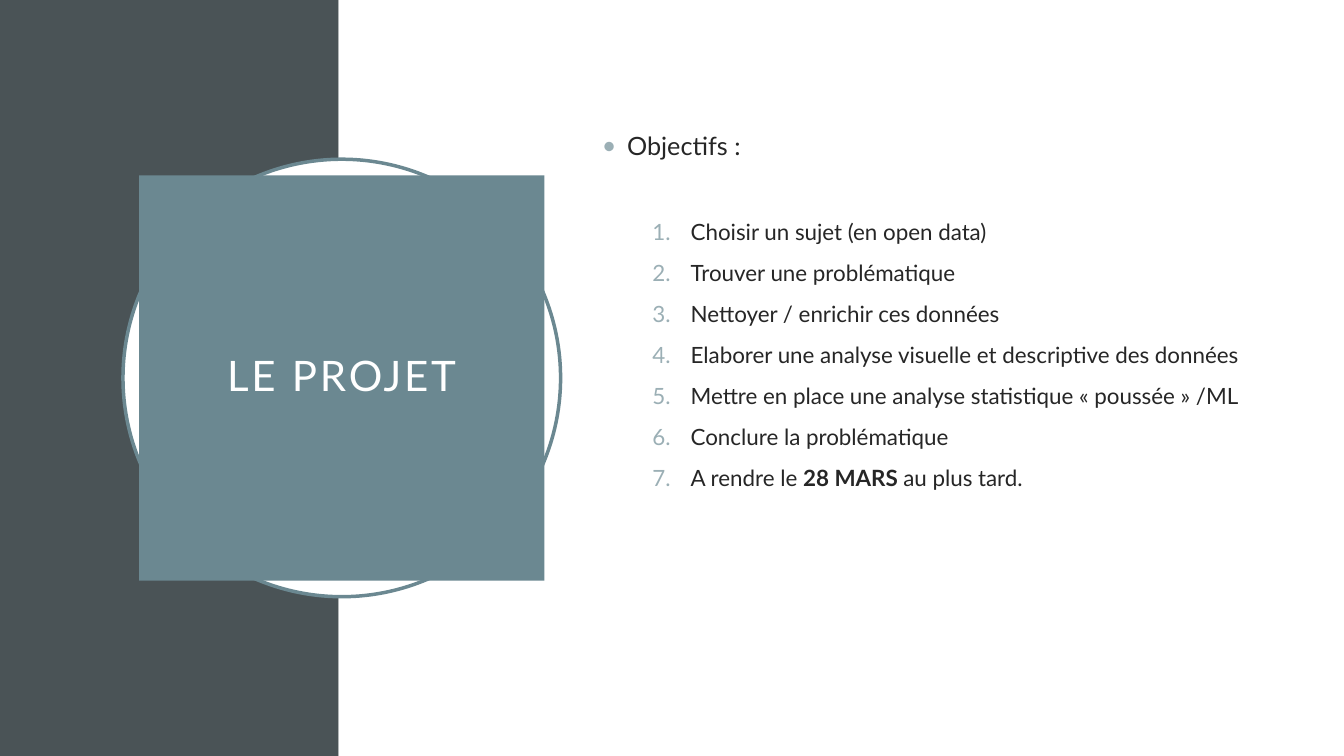
from lxml import etree
from pptx import Presentation
from pptx.dml.color import RGBColor
from pptx.enum.shapes import MSO_SHAPE
from pptx.enum.text import MSO_ANCHOR, MSO_AUTO_SIZE, PP_ALIGN
from pptx.oxml.ns import qn
from pptx.util import Inches, Pt

RECTANGLE, OVAL = MSO_SHAPE.RECTANGLE, MSO_SHAPE.OVAL
TOP, MIDDLE = MSO_ANCHOR.TOP, MSO_ANCHOR.MIDDLE
CENTER, LEFT = PP_ALIGN.CENTER, PP_ALIGN.LEFT
NO_AUTOFIT = MSO_AUTO_SIZE.NONE

SLATE = RGBColor(0x4A, 0x53, 0x56)
TEAL = RGBColor(0x6B, 0x88, 0x91)
PALE_TEAL = RGBColor(0x9B, 0xAF, 0xB5)
INK = RGBColor(0x26, 0x26, 0x26)
WHITE = RGBColor(0xFF, 0xFF, 0xFF)

FONT = "Lato"
SLIDE_WIDTH, SLIDE_HEIGHT = 13.33, 7.5
PANEL_WIDTH = 3.36

# Each step is a list of (text, bold) runs
STEPS = [
    [("Choisir un sujet (en open data)", False)],
    [("Trouver une problématique", False)],
    [("Nettoyer / enrichir ces données", False)],
    [("Elaborer une analyse visuelle et descriptive des données", False)],
    [("Mettre en place une analyse statistique « poussée » /ML", False)],
    [("Conclure la problématique", False)],
    [("A rendre le ", False), ("28 MARS ", True), ("au plus tard.", False)],
]


def place(shape, left, top, width, height):
    shape.left, shape.top = Inches(left), Inches(top)
    shape.width, shape.height = Inches(width), Inches(height)


def add_plain_shape(slide, kind, box, fill, line=None):
    shape = slide.shapes.add_shape(kind, *(Inches(length) for length in box))
    shape.shadow.inherit = False
    shape.fill.solid()
    shape.fill.fore_color.rgb = fill
    if line is None:
        shape.line.fill.background()
    else:
        shape.line.color.rgb = line
        shape.line.width = Pt(2.5)
    return shape


def add_run(paragraph, text, size, color, bold=False):
    run = paragraph.add_run()
    run.text = text
    run.font.name = FONT
    run.font.size = Pt(size)
    run.font.bold = bold
    run.font.color.rgb = color
    return run


def set_marker(paragraph, margin, hanging, tag, **attributes):
    """Give the paragraph a coloured bullet or number with a hanging indent."""
    properties = paragraph._p.get_or_add_pPr()
    properties.set("marL", str(Inches(margin)))
    properties.set("indent", str(-Inches(hanging)))
    color = etree.SubElement(properties, qn("a:buClr"))
    etree.SubElement(color, qn("a:srgbClr"), val=str(PALE_TEAL))
    etree.SubElement(properties, qn("a:buFont"), typeface=FONT)
    etree.SubElement(properties, qn(tag), **attributes)


def add_background(slide, left, top, width, height):
    add_plain_shape(slide, RECTANGLE, (left, top, PANEL_WIDTH, height), SLATE)
    add_plain_shape(
        slide, RECTANGLE,
        (left + PANEL_WIDTH, top, width - PANEL_WIDTH, height), WHITE)


def add_title_badge(slide, left, top, size):
    # Ring behind the title
    add_plain_shape(slide, OVAL, (left, top, size, size), WHITE, TEAL)

    # Title block centred on the ring, brought to the front
    title = slide.shapes.title
    inset = 0.16
    block = size - 2 * inset
    place(title, left + inset, top + inset, block, block)
    slide.shapes._spTree.append(title._element)
    title.fill.solid()
    title.fill.fore_color.rgb = TEAL

    frame = title.text_frame
    frame.word_wrap = True
    frame.auto_size = NO_AUTOFIT
    frame.vertical_anchor = MIDDLE
    frame.margin_left = frame.margin_right = Inches(0.2)
    frame.margin_top = frame.margin_bottom = Inches(0.2)
    paragraph = frame.paragraphs[0]
    paragraph.alignment = CENTER
    paragraph.line_spacing = 0.9
    run = add_run(paragraph, "LE PROJET", 30, WHITE)
    run.font._element.set("spc", "200")


def add_objectives(slide, left, top, width, height):
    body = slide.placeholders[1]
    place(body, left, top, width, height)
    slide.shapes._spTree.append(body._element)
    frame = body.text_frame
    frame.word_wrap = True
    frame.auto_size = NO_AUTOFIT
    frame.vertical_anchor = TOP

    # Heading
    heading = frame.paragraphs[0]
    heading.alignment = LEFT
    heading.space_before = Pt(10)
    set_marker(heading, 0.25, 0.25, "a:buChar", char="•")
    add_run(heading, "Objectifs :", 18, INK)

    # Numbered steps, the first set apart from the heading
    for index, runs in enumerate(STEPS):
        step = frame.add_paragraph()
        step.level = 1
        step.alignment = LEFT
        step.space_before = Pt(10 if index else 41.5)
        set_marker(step, 0.88, 0.38, "a:buAutoNum", type="arabicPeriod")
        for text, bold in runs:
            add_run(step, text, 16, INK, bold)


def main():
    presentation = Presentation()
    presentation.slide_width = Inches(SLIDE_WIDTH)
    presentation.slide_height = Inches(SLIDE_HEIGHT)
    slide = presentation.slides.add_slide(presentation.slide_layouts[1])
    add_background(slide, 0, 0, SLIDE_WIDTH, SLIDE_HEIGHT)
    add_title_badge(slide, 1.22, 1.58, 4.34)
    add_objectives(slide, 5.87, 1.24, 7.02, 4.26)
    presentation.save("out.pptx")


if __name__ == "__main__":
    main()
